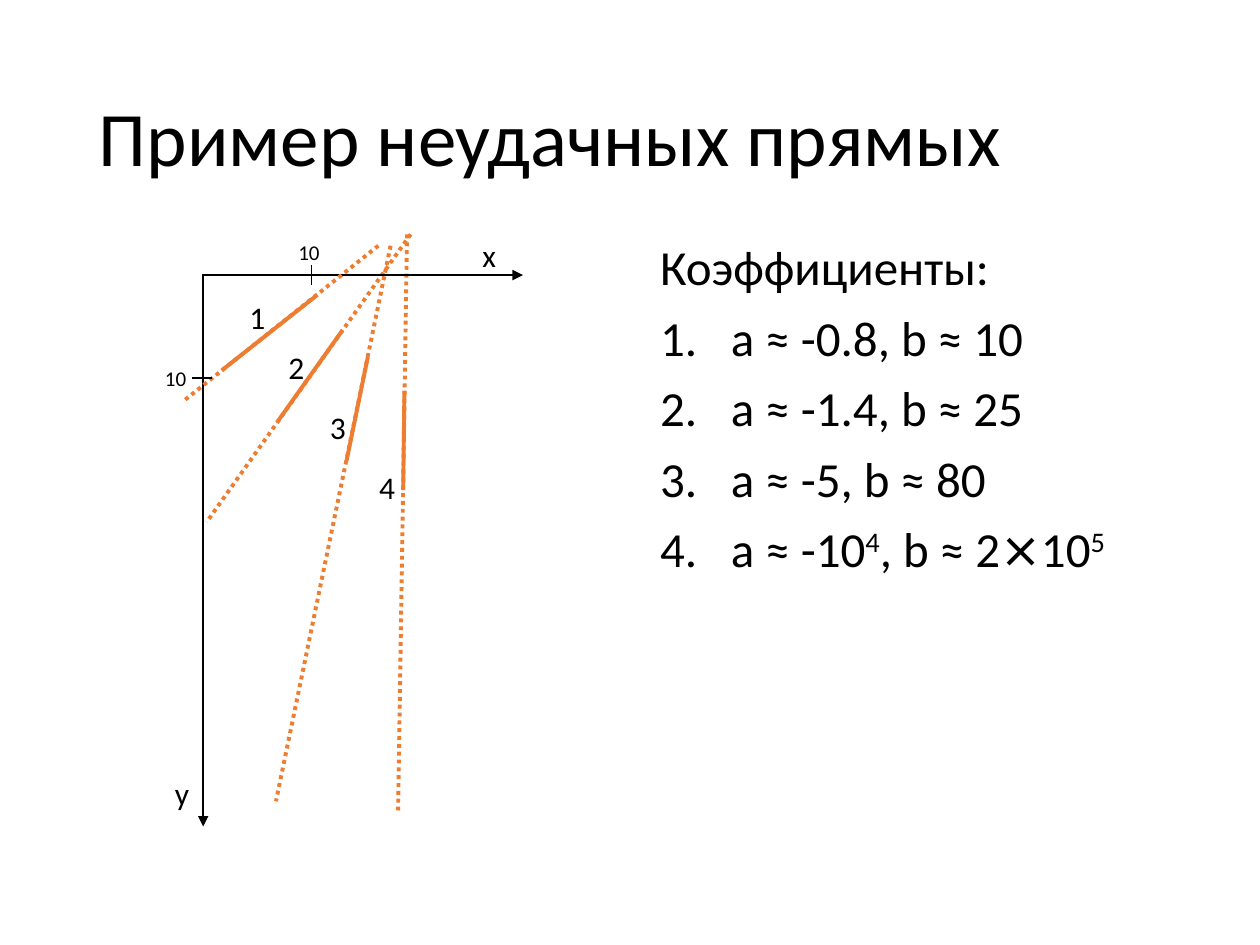
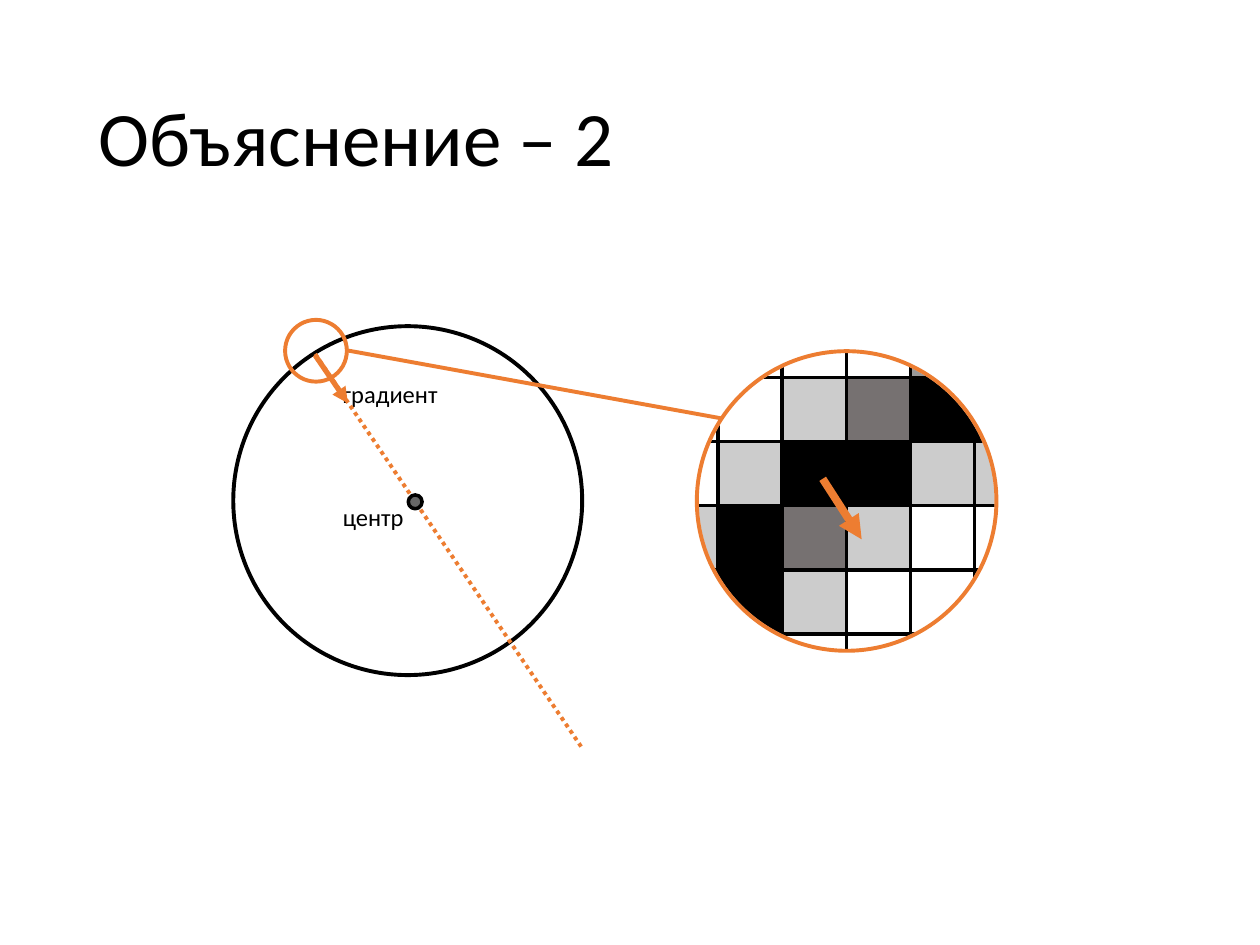
from dataclasses import dataclass
from typing import Optional

from pptx import Presentation
from pptx.dml.color import RGBColor
from pptx.enum.dml import MSO_LINE
from pptx.enum.shapes import MSO_CONNECTOR, MSO_SHAPE
from pptx.enum.text import MSO_ANCHOR, MSO_AUTO_SIZE
from pptx.oxml.ns import qn
from pptx.util import Pt
from lxml.etree import SubElement

FONT = "Calibri"
BLACK = RGBColor(0x00, 0x00, 0x00)
WHITE = RGBColor(0xFF, 0xFF, 0xFF)
ORANGE = RGBColor(0xED, 0x7D, 0x31)
LIGHT = RGBColor(0xCC, 0xCC, 0xCC)
SILVER = RGBColor(0x99, 0x99, 0x99)
GREY = RGBColor(0x76, 0x71, 0x71)
DARK = RGBColor(0x66, 0x66, 0x66)

# Pixel shades, one letter a cell
SHADES = {"W": WHITE, "L": LIGHT, "S": SILVER, "G": GREY, "D": DARK, "B": BLACK}
PIXELS = ("WWWWSS", "WWLGBB", "WLBBLL", "LBGLWW", "DBLWWW", "BDWWWW")
CURVE = 0.5523  # handle length of a quarter circle


@dataclass
class Line:
    x1: float
    y1: float
    x2: float
    y2: float
    color: RGBColor = ORANGE
    width: float = 2.25
    dotted: bool = False
    arrow: bool = False


@dataclass
class Label:
    text: str
    x: float
    y: float
    w: float = 25.2
    h: float = 28.8
    size: float = 18


@dataclass
class Ring:
    x: float
    y: float
    size: float
    color: RGBColor
    width: float = 2.25
    fill: Optional[RGBColor] = None


def add_text(slide, text: str, x: float, y: float, w: float, h: float, *,
             size: float, wrap: bool = True, anchor=MSO_ANCHOR.TOP,
             leading: Optional[float] = None, before: float = 0,
             numbered: bool = False) -> None:
    """Each line is a paragraph; text between ^ marks is raised."""
    frame = slide.shapes.add_textbox(Pt(x), Pt(y), Pt(w), Pt(h)).text_frame
    frame.word_wrap = wrap
    frame.vertical_anchor = anchor
    frame.auto_size = MSO_AUTO_SIZE.NONE if wrap else MSO_AUTO_SIZE.SHAPE_TO_FIT_TEXT
    for row, line in enumerate(text.split("\n")):
        para = frame.add_paragraph() if row else frame.paragraphs[0]
        if leading:
            para.line_spacing = leading
        para.space_before = Pt(before)
        if numbered and row:
            add_number(para)
        for i, part in enumerate(line.split("^")):
            if not part:
                continue
            run = para.add_run()
            run.text = part
            run.font.name, run.font.size = FONT, Pt(size)
            run.font.color.rgb = BLACK
            if i % 2:
                run.font._element.set("baseline", "30000")


def add_number(para) -> None:
    props = para._p.get_or_add_pPr()
    indent = Pt(40.5)
    props.set("marL", str(indent))
    props.set("indent", str(-indent))
    color = SubElement(props, qn("a:buClr"))
    SubElement(color, qn("a:srgbClr"), val=str(BLACK))
    SubElement(props, qn("a:buFont"), typeface="+mj-lt")
    SubElement(props, qn("a:buAutoNum"), type="arabicPeriod")


def add_label(slide, label: Label) -> None:
    add_text(slide, label.text, label.x, label.y, label.w, label.h,
             size=label.size, wrap=False)


def add_line(slide, line: Line) -> None:
    ends = (line.x1, line.y1, line.x2, line.y2)
    link = slide.shapes.add_connector(MSO_CONNECTOR.STRAIGHT, *map(Pt, ends))
    link.line.color.rgb = line.color
    link.line.width = Pt(line.width)
    if line.dotted:
        link.line.dash_style = MSO_LINE.ROUND_DOT
    props = link._element.spPr
    if line.arrow:
        SubElement(props.find(qn("a:ln")), qn("a:tailEnd"), type="triangle")
    SubElement(props, qn("a:effectLst"))


def paint(shape, fill: Optional[RGBColor], color: RGBColor, width: float) -> None:
    shape.shadow.inherit = False
    if fill is None:
        shape.fill.background()
    else:
        shape.fill.solid()
        shape.fill.fore_color.rgb = fill
    shape.line.color.rgb = color
    shape.line.width = Pt(width)


def add_ring(slide, ring: Ring) -> None:
    shape = slide.shapes.add_shape(MSO_SHAPE.OVAL, Pt(ring.x), Pt(ring.y),
                                   Pt(ring.size), Pt(ring.size))
    paint(shape, ring.fill, ring.color, ring.width)


DRAW = {Line: add_line, Label: add_label, Ring: add_ring}


def draw_all(slide, *items) -> None:
    for item in items:
        DRAW[type(item)](slide, item)


def add_grid(slide, left: float, top: float, step: float) -> None:
    for row, shades in enumerate(PIXELS):
        for col, shade in enumerate(shades):
            cell = slide.shapes.add_shape(
                MSO_SHAPE.RECTANGLE, Pt(left + col * step), Pt(top + row * step),
                Pt(step), Pt(step))
            paint(cell, SHADES[shade], BLACK, 2)


def add_mask(slide, lens: Ring, margin: float) -> None:
    """White square with a round hole where the lens is."""
    radius = lens.size / 2
    half = radius + margin
    left, top = lens.x - margin, lens.y - margin
    right, low = left + 2 * half, top + 2 * half
    pen = slide.shapes.build_freeform(Pt(left), Pt(top))
    pen.add_line_segments([(Pt(right), Pt(top)), (Pt(right), Pt(low)),
                           (Pt(left), Pt(low))], close=True)
    shape = pen.convert_to_shape()
    outline = next(shape._element.iter(qn("a:path")))

    def step(tag: str, *spots) -> None:
        node = SubElement(outline, qn(tag))
        for x, y in spots:
            SubElement(node, qn("a:pt"), x=str(Pt(half + radius * x)),
                       y=str(Pt(half + radius * y)))

    # Four quarter curves, against the turn of the square
    x, y = 0, -1
    step("a:moveTo", (x, y))
    for _ in range(4):
        u, v = y, -x
        step("a:cubicBezTo", (x + CURVE * u, y + CURVE * v),
             (u + CURVE * x, v + CURVE * y), (u, v))
        x, y = u, v
    step("a:close")
    paint(shape, WHITE, WHITE, 2)


def add_slide(deck, title: str):
    slide = deck.slides.add_slide(deck.slide_layouts[6])
    add_text(slide, title, 49.5, 28.8, 621, 104.4, size=44,
             anchor=MSO_ANCHOR.MIDDLE, leading=0.9)
    return slide


def draw_lines(deck) -> None:
    slide = add_slide(deck, "Пример неудачных прямых")
    draw_all(
        slide,
        Line(234.7, 133.9, 118.1, 298.3, dotted=True),
        Line(223.2, 140.4, 157.7, 457.9, dotted=True),
        Line(232.6, 134, 227.5, 463.7, dotted=True),
        Label("2", 157.7, 195.1))
    add_text(slide, "Коэффициенты:\na ≈ -0.8, b ≈ 10\na ≈ -1.4, b ≈ 25\n"
             "a ≈ -5, b ≈ 80\na ≈ -10^4^, b ≈ 2⨯10^5^",
             370.1, 135.5, 300.2, 347, size=28, leading=0.9, before=10,
             numbered=True)
    draw_all(
        slide,
        # Axes
        Line(116.1, 157.5, 116.1, 472.3, BLACK, 1, arrow=True),
        Line(115.4, 157.2, 298.8, 157.2, BLACK, 1, arrow=True),
        Label("y", 92.9, 438.5, 24.5), Label("x", 268.6, 131.3, 24.5),
        # Segments
        Line(181.4, 168.5, 126.7, 211.7),
        Line(195.8, 188.6, 158.4, 241.2),
        Line(210.2, 204, 198, 263.5),
        Line(231.1, 223.2, 230.4, 280.1),
        Line(216.2, 140.4, 105.1, 229, dotted=True),
        Label("1", 135.4, 167), Label("3", 181.4, 229.7),
        Label("4", 209.5, 263.7),
        # Ticks
        Line(109.6, 216, 121.2, 216, BLACK, 1),
        Line(178, 151.2, 178, 162.7, BLACK, 1),
        Label("10", 87.2, 205.2, 29.5, 21.6, 12),
        Label("10", 163.4, 133.2, 29.5, 21.6, 12))


def draw_zoom(deck) -> None:
    slide = add_slide(deck, "Объяснение – 2")
    group = slide.shapes.add_group_shape()
    lens = Ring(398.2, 200.7, 171.2, ORANGE)
    draw_all(group, Ring(133.3, 186.4, 199.4, BLACK),
             Ring(162.9, 182.8, 35.3, ORANGE))

    # Pixels under the lens
    add_grid(group, 373.7, 179, 36.65)
    add_mask(group, lens, 56.2)
    draw_all(group, lens, Line(198.8, 200.3, 411.8, 239))

    # Gradient ray through the centre
    draw_all(
        slide,
        Line(470.1, 273.6, 492.4, 308.2, width=4.5, arrow=True),
        Label("градиент", 188.8, 213.1, 83.5, 23.8, 14),
        Line(180.1, 202.3, 332.8, 427.7, dotted=True),
        Line(180.1, 203, 198.8, 230.4, width=3, arrow=True),
        Ring(233.3, 282.8, 7.9, BLACK, 2, DARK),
        Label("центр", 188.8, 283.1, 58.3, 23.8, 14))


def main() -> None:
    deck = Presentation()
    deck.slide_width, deck.slide_height = Pt(720), Pt(540)
    draw_lines(deck)
    draw_zoom(deck)
    deck.save("out.pptx")


if __name__ == "__main__":
    main()
